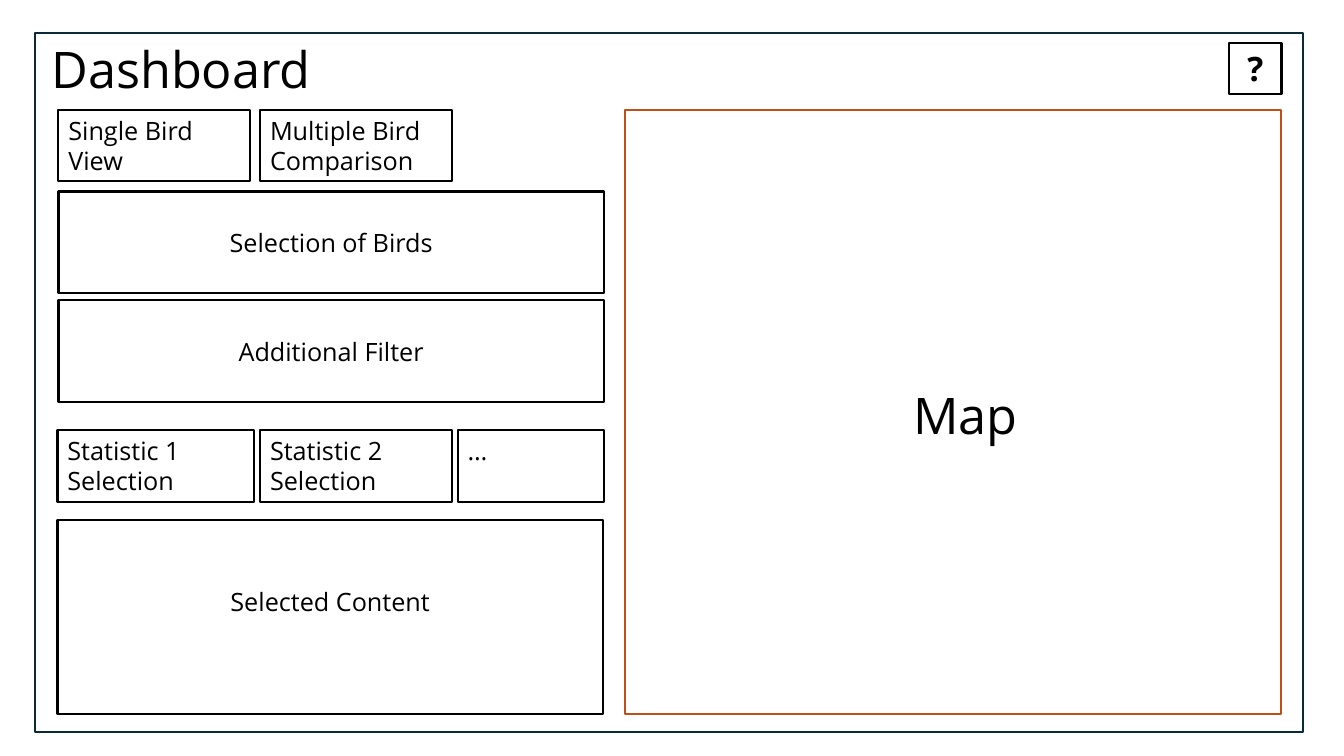
import pptx
import pptx.dml.color
import pptx.enum.shapes
import pptx.enum.text
import pptx.util

PX = 9144  # 100 px to the inch
FONT = "Open Sans"
BLACK, WHITE, NAVY, RUST = "000000", "FFFFFF", "092A39", "C04F15"
ALIGN = pptx.enum.text.PP_ALIGN
ANCHOR = pptx.enum.text.MSO_ANCHOR

LEFT, TAB_H, PANEL_W = 58, 71, 541
TABS = [
    # text, left, top, width
    ("Single Bird View", LEFT, 109, 190),
    ("Multiple Bird Comparison", 258, 109, 190),
    ("Statistic 1\nSelection", 57, 427, 195),
    ("Statistic 2\nSelection", 258, 427, 190),
    ("…", 454, 427, 145),
]
FILTERS = ["Selection of Birds", "Additional Filter"]


def px(n):
    return pptx.util.Emu(n * PX)


def rgb(hex_code):
    return pptx.dml.color.RGBColor.from_string(hex_code)


def write(sp, text, size, align=ALIGN.LEFT, anchor=ANCHOR.TOP, bold=False):
    """Fill a shape with text, one paragraph per line."""
    tf = sp.text_frame
    tf.word_wrap = True
    tf.auto_size = pptx.enum.text.MSO_AUTO_SIZE.NONE
    tf.vertical_anchor = anchor
    tf.margin_left = tf.margin_right = px(10)
    tf.margin_top = tf.margin_bottom = px(5)
    tf.text = text
    for p in tf.paragraphs:
        p.alignment = align
        p.font.name = FONT
        p.font.size = pptx.util.Pt(size)
        p.font.bold = bold
        p.font.color.rgb = rgb(BLACK)


def add_box(shapes, left, top, width, height, line=BLACK, fill=WHITE):
    sp = shapes.add_shape(pptx.enum.shapes.MSO_SHAPE.RECTANGLE,
                          px(left), px(top), px(width), px(height))
    sp.shadow.inherit = False
    if fill:
        sp.fill.solid()
        sp.fill.fore_color.rgb = rgb(fill)
    else:
        sp.fill.background()
    if line:
        sp.line.color.rgb = rgb(line)
        sp.line.width = pptx.util.Pt(1.5)
    else:
        sp.line.fill.background()
    return sp


def add_panel(shapes, text, left, top, height):
    """Add a wide box with its label in the middle."""
    sp = add_box(shapes, left, top, PANEL_W, height)
    write(sp, text, 18, ALIGN.CENTER, ANCHOR.MIDDLE)
    return sp


def add_title(slide, text):
    title = slide.shapes.title
    title.left, title.top, title.width, title.height = map(px, (41, 33, 379, 71))
    write(title, text, 36)


def add_map(shapes):
    group = shapes.add_group_shape()
    add_box(group.shapes, 620, 109, 651, 599, line=RUST)
    write(add_box(group.shapes, 896, 376, 147, 64, line=None), "Map", 36)


def main():
    prs = pptx.Presentation()
    prs.slide_width, prs.slide_height = px(1333), px(750)
    slide = prs.slides.add_slide(prs.slide_layouts[5])
    shapes = slide.shapes

    add_box(shapes, 35, 33, 1257, 693, line=NAVY, fill=None)
    add_title(slide, "Dashboard")
    add_map(shapes)
    for text, left, top, width in TABS:
        write(add_box(shapes, left, top, width, TAB_H), text, 18)
    for i, text in enumerate(FILTERS):
        add_panel(shapes, text, LEFT, 190 + i * 108, 101)
    content = add_panel(shapes, "Selected Content", 57, 516, 192)
    content.text_frame.margin_bottom = px(35)  # lifts the label above the middle
    help_button = add_box(shapes, 1219, 43, 52, 50)
    write(help_button, "?", 24, ALIGN.CENTER, ANCHOR.MIDDLE, bold=True)

    prs.save("out.pptx")


if __name__ == "__main__":
    main()
